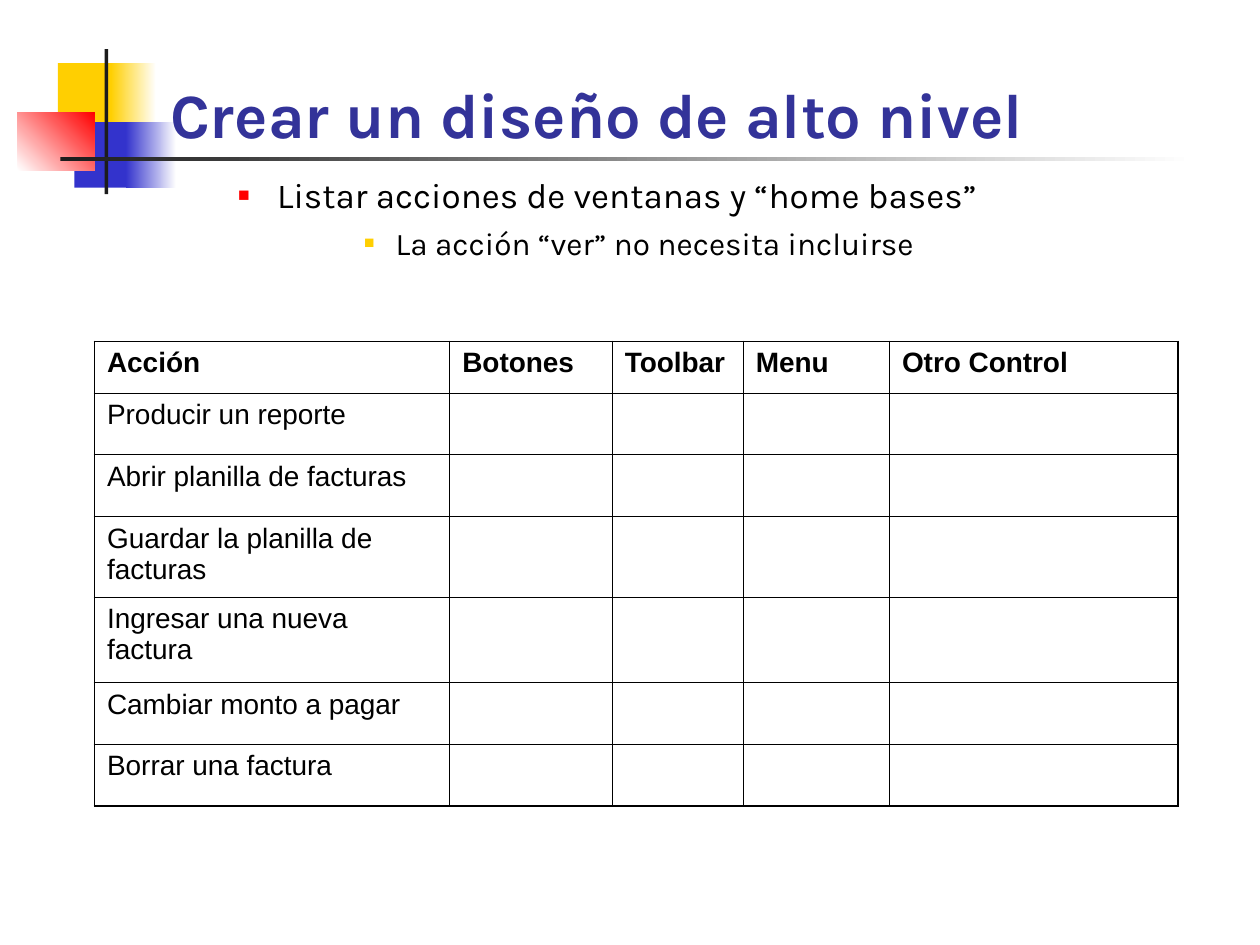
from dataclasses import dataclass

from lxml import etree
from pptx import Presentation
from pptx.dml.color import RGBColor
from pptx.enum.shapes import MSO_SHAPE
from pptx.enum.text import MSO_ANCHOR, MSO_AUTO_SIZE, PP_ALIGN
from pptx.oxml.ns import qn
from pptx.util import Inches, Pt

RECT = MSO_SHAPE.RECTANGLE
TOP, BOTTOM = MSO_ANCHOR.TOP, MSO_ANCHOR.BOTTOM
LEFT = PP_ALIGN.LEFT
FIXED = MSO_AUTO_SIZE.NONE


@dataclass(frozen=True)
class Theme:
    head: str = "Karla"
    cell: str = "Arial"
    title: str = "333399"
    text: str = "000000"
    gold: str = "FFCF01"
    blue: str = "3333CC"
    red: str = "FF0000"
    dark: str = "1C1C1C"
    white: str = "FFFFFF"
    title_size: int = 36
    list_size: int = 20
    sub_size: int = 18
    cell_size: int = 16
    thick: float = 1.08
    thin: float = 0.45


THEME = Theme()

HEADS = ["Acción", "Botones", "Toolbar", "Menu", "Otro Control"]
ACTIONS = [
    "Producir un reporte",
    "Abrir planilla de facturas",
    "Guardar la planilla de facturas",
    "Ingresar una nueva factura",
    "Cambiar monto a pagar",
    "Borrar una factura",
]
COLS = [2.82, 1.29, 1.04, 1.16, 2.29]
ROWS = [0.41, 0.49, 0.49, 0.64, 0.68, 0.49, 0.49]


def style(para, font, size, color, bold=False):
    for run in para.runs:
        run.font.name = font
        run.font.size = Pt(size)
        run.font.bold = bold
        run.font.color.rgb = RGBColor.from_string(color)


def place(shape, box):
    shape.left, shape.top, shape.width, shape.height = map(Inches, box)


def block(slide, box, start, end=None, angle=0):
    """Plain rectangle, or one fading from start to end."""
    shape = slide.shapes.add_shape(RECT, *map(Inches, box))
    shape.shadow.inherit = False
    shape.line.fill.background()
    if end is None:
        shape.fill.solid()
        shape.fill.fore_color.rgb = RGBColor.from_string(start)
        return
    shape.fill.gradient()
    shape.fill.gradient_angle = angle
    for stop, color in zip(shape.fill.gradient_stops, (start, end)):
        stop.color.rgb = RGBColor.from_string(color)


def add_emblem(slide, left, top):
    """Coloured blocks crossed by two bars."""
    t = THEME
    parts = [
        ((0.32, 0.11, 0.48, 0.52), t.gold),
        ((0.74, 0.11, 0.36, 0.52), t.gold, t.white),
        ((0.45, 0.58, 0.46, 0.52), t.blue),
        ((0.86, 0.58, 0.4, 0.52), t.blue, t.white),
        ((0, 0.5, 0.61, 0.46), t.white, t.red, 45),
        ((0.69, 0, 0.03, 1.15), t.dark),
        ((0.34, 0.86, 9, 0.03), t.dark, t.white),
    ]
    for (x, y, w, h), *paint in parts:
        block(slide, (left + x, top + y, w, h), *paint)


def add_title(slide, box):
    title = slide.shapes.title
    place(title, box)
    frame = title.text_frame
    frame.text = "Crear un diseño de alto nivel"
    frame.auto_size = FIXED
    frame.vertical_anchor = BOTTOM
    para = frame.paragraphs[0]
    para.alignment = LEFT
    style(para, THEME.head, THEME.title_size, THEME.title, True)


def bullet(para, color, left, hang):
    props = para._p.get_or_add_pPr()
    props.set("marL", str(Inches(left)))
    props.set("indent", str(-Inches(hang)))
    tint = etree.SubElement(props, qn("a:buClr"))
    etree.SubElement(tint, qn("a:srgbClr"), val=color)
    etree.SubElement(props, qn("a:buSzPct"), val="55000")
    etree.SubElement(props, qn("a:buFont"), typeface=THEME.cell)
    etree.SubElement(props, qn("a:buChar"), char="■")


def add_list(slide, box):
    t = THEME
    body = slide.placeholders[1]
    place(body, box)
    frame = body.text_frame
    frame.auto_size = FIXED
    frame.vertical_anchor = TOP
    items = [
        ("Listar acciones de ventanas y “home bases”",
         1, t.list_size, 5, t.red, 0.81, 0.31),
        ("La acción “ver” no necesita incluirse",
         3, t.sub_size, 4.5, t.gold, 1.75, 0.25),
    ]
    frame.text = "\n".join(item[0] for item in items)
    for para, item in zip(frame.paragraphs, items):
        _, level, size, gap, color, left, hang = item
        para.level = level
        para.alignment = LEFT
        para.space_before = Pt(gap)
        bullet(para, color, left, hang)
        style(para, t.head, size, t.text)


def border(cell, widths):
    props = cell._tc.get_or_add_tcPr()
    for i, (side, width) in enumerate(zip("LRTB", widths)):
        line = etree.Element(qn(f"a:ln{side}"), w=str(Pt(width)))
        fill = etree.SubElement(line, qn("a:solidFill"))
        etree.SubElement(fill, qn("a:srgbClr"), val=THEME.text)
        props.insert(i, line)


def add_grid(slide, left, top):
    """Table of actions, with a heavier outer frame."""
    t = THEME
    size = map(Inches, (left, top, sum(COLS), sum(ROWS)))
    table = slide.shapes.add_table(len(ROWS), len(COLS), *size).table
    table.first_row = table.horz_banding = False
    for col, width in zip(table.columns, COLS):
        col.width = Inches(width)
    for row, height in zip(table.rows, ROWS):
        row.height = Inches(height)
    texts = [HEADS] + [[act] + [""] * (len(COLS) - 1) for act in ACTIONS]
    for r, line in enumerate(texts):
        for c, text in enumerate(line):
            cell = table.cell(r, c)
            cell.text = text
            cell.fill.background()
            para = cell.text_frame.paragraphs[0]
            para.space_before = Pt(4)
            para.font.size = Pt(t.cell_size)
            style(para, t.cell, t.cell_size, t.text, r == 0)
            edges = (c == 0, c == len(COLS) - 1, r == 0, r == len(ROWS) - 1)
            border(cell, [t.thick if edge else t.thin for edge in edges])


def main():
    deck = Presentation()
    deck.slide_width, deck.slide_height = Inches(10), Inches(7.5)
    slide = deck.slides.add_slide(deck.slide_layouts[1])
    add_emblem(slide, 0.14, 0.39)
    add_title(slide, (1.25, 0, 8.52, 1.25))
    add_list(slide, (1.29, 1.33, 8.5, 5.37))
    add_grid(slide, 0.75, 2.71)
    # Text stands in front of the emblem
    tree = slide.shapes._spTree
    for shape in (slide.shapes.title, slide.placeholders[1]):
        tree.remove(shape._element)
        tree.insert(len(tree) - 1, shape._element)
    deck.save("out.pptx")


if __name__ == "__main__":
    main()
